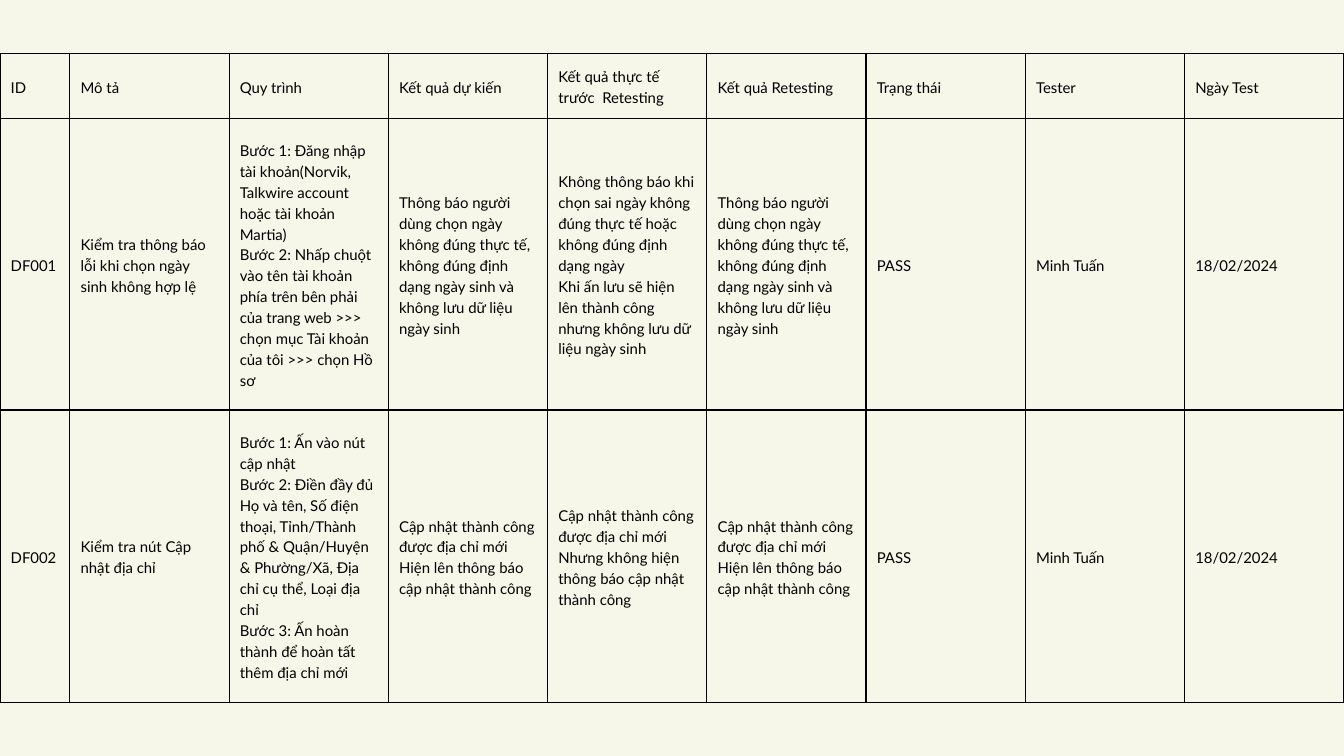
from pptx import Presentation
from pptx.dml.color import RGBColor as RGB
from pptx.enum.text import MSO_ANCHOR as Anchor
from pptx.oxml import parse_xml
from pptx.oxml.ns import nsdecls
from pptx.util import Pt

SCALE = 9144
INK = "000000"
PAPER = "F6F6E9"
FONT = {"name": "Lato", "size": Pt(16), "bold": False}
CELL = {"vertical_anchor": Anchor.MIDDLE}
CELL.update({f"margin_{side}": 16 * SCALE for side in ("left", "top", "right", "bottom")})

WARN = ("Thông báo người dùng chọn ngày không đúng thực tế, không đúng định "
        "dạng ngày sinh và không lưu dữ liệu ngày sinh")
SAVED = "Cập nhật thành công được địa chỉ mới"
SHOWN = f"{SAVED}\nHiện lên thông báo cập nhật thành công"
END = ["PASS", "Minh Tuấn", "18/02/2024"]

ROWS = [
    ["ID", "Mô tả", "Quy trình", "Kết quả dự kiến",
     "Kết quả thực tế trước  Retesting", "Kết quả Retesting",
     "Trạng thái", "Tester", "Ngày Test"],
    ["DF001", "Kiểm tra thông báo lỗi khi chọn ngày sinh không hợp lệ",
     "Bước 1: Đăng nhập tài khoản(Norvik, Talkwire account hoặc tài khoản Martia)\n"
     "Bước 2: Nhấp chuột vào tên tài khoản phía trên bên phải của trang web >>> "
     "chọn mục Tài khoản của tôi >>> chọn Hồ sơ",
     WARN,
     "Không thông báo khi chọn sai ngày không đúng thực tế hoặc không đúng "
     "định dạng ngày\n"
     "Khi ấn lưu sẽ hiện lên thành công nhưng không lưu dữ liệu ngày sinh",
     WARN, *END],
    ["DF002", "Kiểm tra nút Cập nhật địa chỉ",
     "Bước 1: Ấn vào nút cập nhật\n"
     "Bước 2: Điền đầy đủ Họ và tên, Số điện thoại, Tỉnh/Thành phố & Quận/Huyện "
     "& Phường/Xã, Địa chỉ cụ thể, Loại địa chỉ\n"
     "Bước 3: Ấn hoàn thành để hoàn tất thêm địa chỉ mới",
     SHOWN,
     f"{SAVED}\nNhưng không hiện thông báo cập nhật thành công",
     SHOWN, *END],
]


def px(num):
    return num * SCALE


def tint(code):
    return RGB.from_string(code)


def apply(item, vals):
    for key, val in vals.items():
        setattr(item, key, val)


def frame(cell):
    props = cell._tc.get_or_add_tcPr()
    for side in "LRTB":
        props.append(parse_xml(
            f'<a:ln{side} {nsdecls("a")} w="{Pt(1.5)}"><a:solidFill>'
            f'<a:srgbClr val="{INK}"/></a:solidFill></a:ln{side}>'))
    cell.fill.background()


def write(cell, text):
    apply(cell, CELL)
    frame(cell)
    cell.text = text
    for para in cell.text_frame.paragraphs:
        para.line_spacing = Pt(22.4)
        for run in para.runs:
            apply(run.font, FONT)
            run.font.color.rgb = tint(INK)


def add_tests(slide, left, top, width, height):
    first, head, case = 104, 96, 434
    count = len(ROWS[0])
    grid = slide.shapes.add_table(
        len(ROWS), count, px(left), px(top), px(width), px(height)).table
    apply(grid, {"first_row": False, "horz_banding": False})
    rest = (width - first) // (count - 1)
    for col, size in zip(grid.columns, [first] + [rest] * (count - 1)):
        col.width = px(size)
    for row, size in zip(grid.rows, [head, case, height - head - case]):
        row.height = px(size)
    for row, texts in zip(grid.rows, ROWS):
        for cell, text in zip(row.cells, texts):
            write(cell, text)


def main():
    deck = Presentation()
    apply(deck, {"slide_width": px(2000), "slide_height": px(1125)})
    slide = deck.slides.add_slide(deck.slide_layouts[6])
    back = slide.background.fill
    back.solid()
    back.fore_color.rgb = tint(PAPER)
    add_tests(slide, 0, 80, 2000, 965)
    deck.save("out.pptx")


if __name__ == "__main__":
    main()
